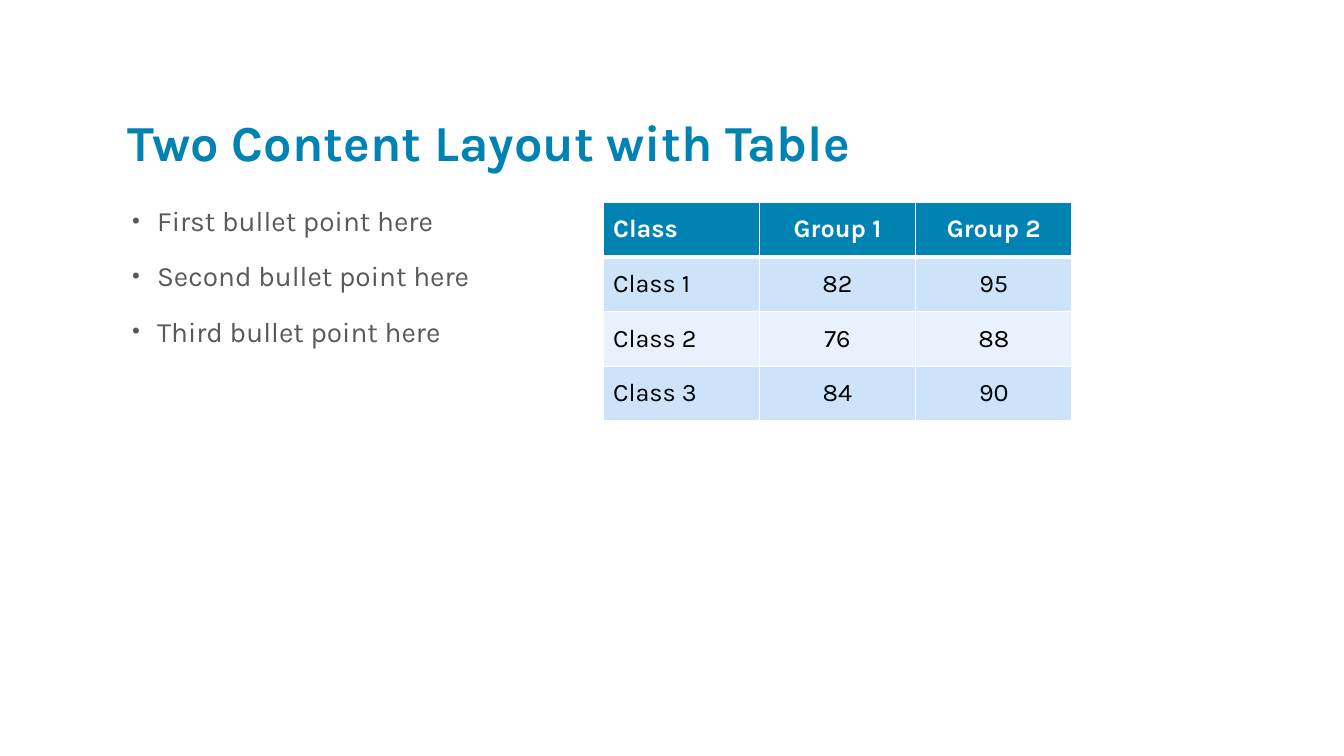
"""Builds a slide with a bullet list beside a table of group scores."""
import lxml.etree
import pptx
import pptx.dml.color
import pptx.enum.text
import pptx.oxml.ns
import pptx.util

TITLE = "Two Content Layout with Table"
BULLETS = ["First bullet point here", "Second bullet point here", "Third bullet point here"]
SCORES = [
    ("Class", "Group 1", "Group 2"),
    ("Class 1", "82", "95"),
    ("Class 2", "76", "88"),
    ("Class 3", "84", "90"),
]

RGB = pptx.dml.color.RGBColor
TEAL = RGB(0x00, 0x83, 0xB3)
GREY = RGB(0x59, 0x59, 0x59)
BLACK = RGB(0x00, 0x00, 0x00)
WHITE = RGB(0xFF, 0xFF, 0xFF)
BANDS = [RGB(0xE7, 0xF2, 0xFC), RGB(0xCC, 0xE3, 0xF9)]
FONT = "Karla"

EMU_PER_PX = 914400 / 100.8
SLIDE_SIZE = (1344, 756)
TITLE_BOX = (117, 58, 958, 118)
BULLETS_BOX = (117, 202, 469, 462)
SCORES_BOX = (603, 202, 469, 219)
BULLET_INDENT, BULLET_HANG = 30, 25

PP_ALIGN = pptx.enum.text.PP_ALIGN
ANCHOR = pptx.enum.text.MSO_ANCHOR
qn = pptx.oxml.ns.qn


def px(length):
    """Turn px into EMU."""
    return pptx.util.Emu(round(length * EMU_PER_PX))


def place(placeholder, box, anchor):
    """Move a placeholder and fix its text frame settings."""
    placeholder.left, placeholder.top, placeholder.width, placeholder.height = map(px, box)
    frame = placeholder.text_frame
    frame.auto_size = pptx.enum.text.MSO_AUTO_SIZE.NONE
    frame.vertical_anchor = anchor
    return frame


def style(paragraph, size, color, bold=False, align=PP_ALIGN.LEFT):
    """Set the look of a whole paragraph."""
    paragraph.alignment = align
    font = paragraph.font
    font.name, font.size, font.bold = FONT, pptx.util.Pt(size), bold
    font.color.rgb = color


def add_bullet(paragraph):
    """Give a paragraph a small grey bullet with a hanging indent."""
    properties = paragraph._p.get_or_add_pPr()
    properties.set("marL", str(px(BULLET_INDENT)))
    properties.set("indent", str(-px(BULLET_HANG)))
    color = lxml.etree.SubElement(properties, qn("a:buClr"))
    lxml.etree.SubElement(color, qn("a:srgbClr"), val=str(GREY))
    lxml.etree.SubElement(properties, qn("a:buSzPct"), val="80000")
    lxml.etree.SubElement(properties, qn("a:buFont"), typeface="Arial")
    lxml.etree.SubElement(properties, qn("a:buChar"), char="•")


def add_borders(cell, top, bottom):
    """Draw white borders around a cell, with widths in points."""
    properties = cell._tc.get_or_add_tcPr()
    widths = {"a:lnL": 1, "a:lnR": 1, "a:lnT": top, "a:lnB": bottom}
    for side, width in widths.items():
        line = lxml.etree.SubElement(properties, qn(side), w=str(pptx.util.Pt(width)))
        fill = lxml.etree.SubElement(line, qn("a:solidFill"))
        lxml.etree.SubElement(fill, qn("a:srgbClr"), val=str(WHITE))


def add_scores(slide):
    """Add the table with its header and banded rows."""
    table = slide.shapes.add_table(len(SCORES), len(SCORES[0]), *map(px, SCORES_BOX)).table
    for row, values in enumerate(SCORES):
        header = row == 0
        for column, value in enumerate(values):
            cell = table.cell(row, column)
            cell.text = value
            cell.vertical_anchor = ANCHOR.MIDDLE
            add_borders(cell, 3 if row == 1 else 1, 3 if header else 1)
            cell.fill.solid()
            cell.fill.fore_color.rgb = TEAL if header else BANDS[row % 2]
            style(cell.text_frame.paragraphs[0], 18, WHITE if header else BLACK,
                  header, PP_ALIGN.CENTER if column else PP_ALIGN.LEFT)


def main():
    """Build and save the slide."""
    deck = pptx.Presentation()
    deck.slide_width, deck.slide_height = map(px, SLIDE_SIZE)
    slide = deck.slides.add_slide(deck.slide_layouts[1])

    heading = place(slide.shapes.title, TITLE_BOX, ANCHOR.BOTTOM)
    heading.text = TITLE
    heading.paragraphs[0].line_spacing = 0.8
    style(heading.paragraphs[0], 36, TEAL, bold=True)

    points = place(slide.placeholders[1], BULLETS_BOX, ANCHOR.TOP)
    points.text = "\n".join(BULLETS)
    for number, point in enumerate(points.paragraphs):
        point.line_spacing = 0.9
        point.space_before = pptx.util.Pt(18 if number else 0)
        add_bullet(point)
        style(point, 20, GREY)

    add_scores(slide)
    deck.save("out.pptx")


if __name__ == "__main__":
    main()
